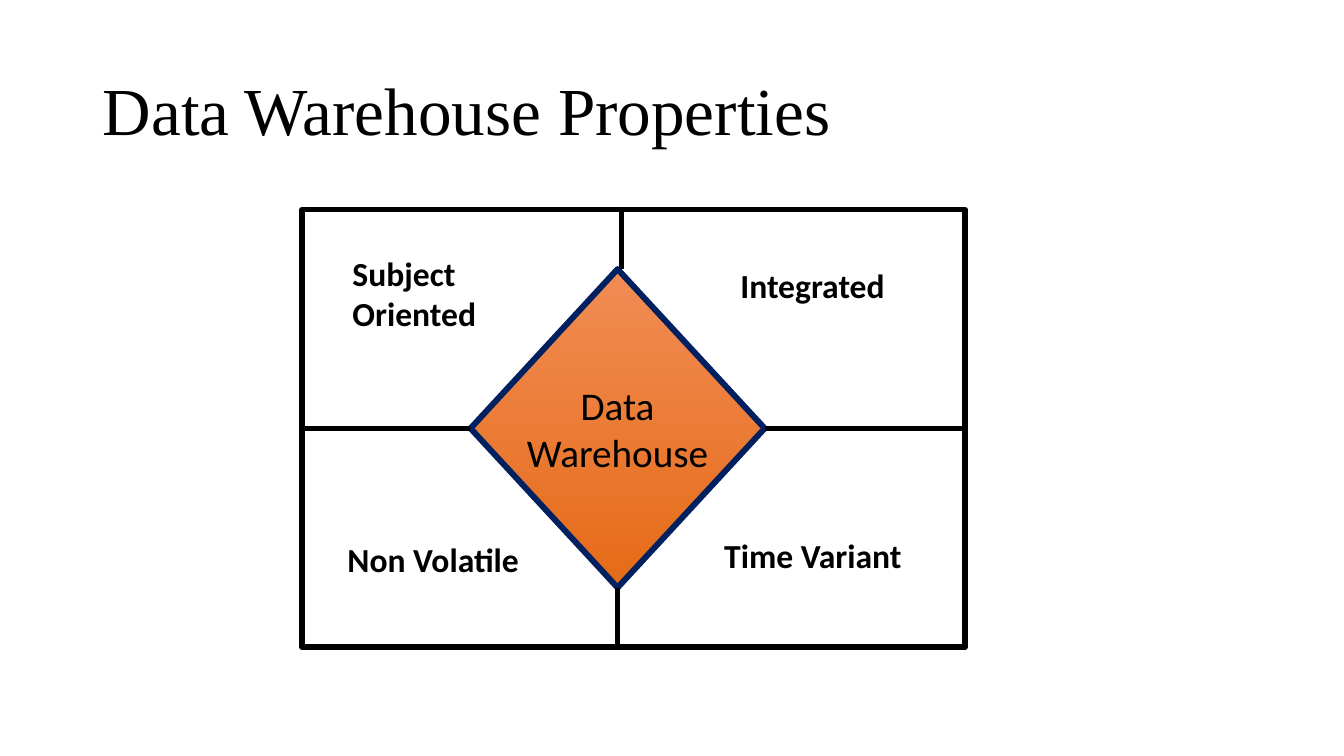
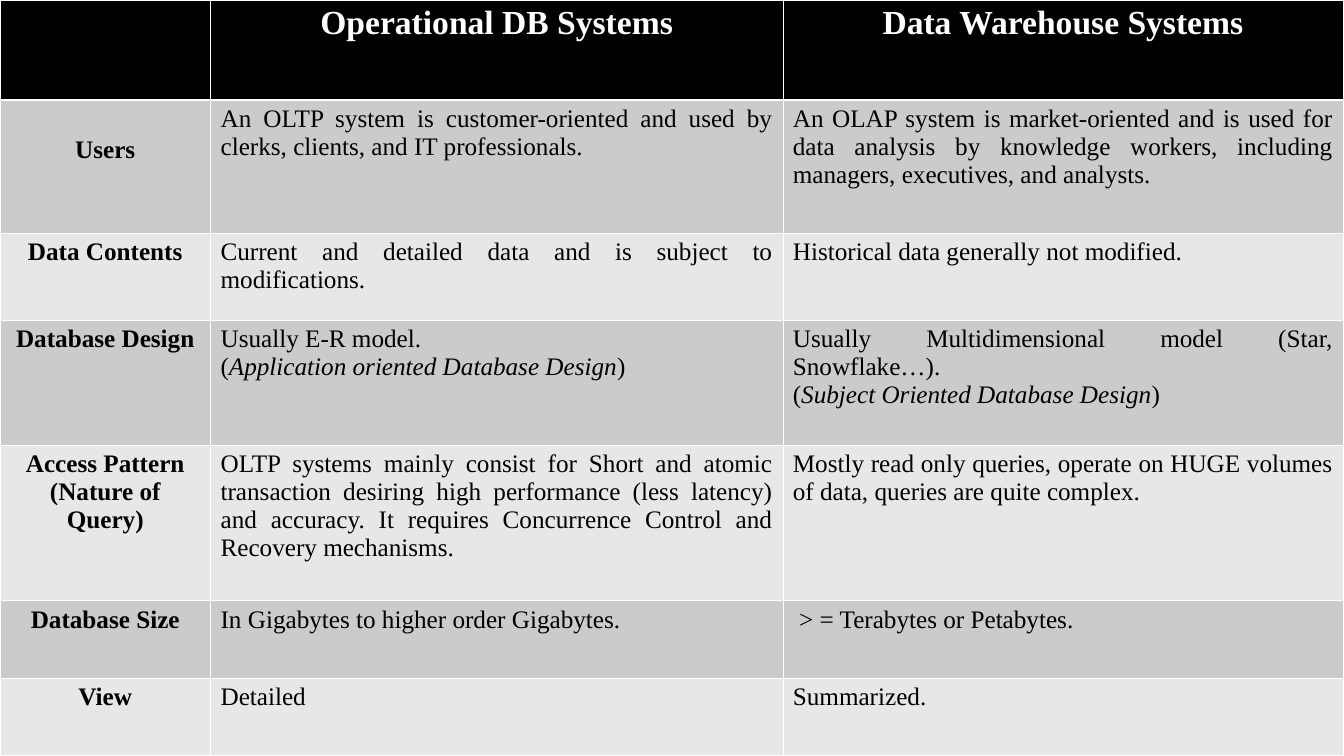
"""Build two slides on data warehouse traits and how they differ from operational systems."""
import lxml.etree
import pptx
import pptx.dml.color
import pptx.enum.shapes
import pptx.enum.text
import pptx.oxml.ns
import pptx.util

Inches = pptx.util.Inches
Pt = pptx.util.Pt
Align = pptx.enum.text.PP_ALIGN
Shape = pptx.enum.shapes.MSO_SHAPE
Anchor = pptx.enum.text.MSO_ANCHOR
qn = pptx.oxml.ns.qn

INK = {
    "black": "000000",
    "white": "FFFFFF",
    "navy": "002060",
    "light": "F18C55",
    "deep": "E56B17",
    "dark": "CBCBCB",
    "pale": "E7E7E7",
}
SERIF = "Times New Roman"
SANS = "Calibri"

TRAITS = [
    (["Integrated"], (4.25, 0.5, 1.65, 0.5)),
    (["Time Variant"], (4.09, 3.18, 1.98, 0.5)),
    (["Non Volatile"], (0.35, 3.22, 1.92, 0.5)),
    (["Subject", "Oriented"], (0.4, 0.38, 1.43, 0.9)),
]

COLS = [2.09, 5.68, 5.56]
ROWS = [
    (0.99, [[], ["Operational DB Systems"], ["Data Warehouse Systems"]]),
    (1.32, [
        ["Users"],
        ["An OLTP system is customer-oriented and used by clerks, clients, and IT professionals."],
        ["An OLAP system is market-oriented and is used for data analysis by knowledge workers, "
         "including managers, executives, and analysts."],
    ]),
    (0.87, [
        ["Data Contents"],
        ["Current and detailed data and is subject to modifications."],
        ["Historical data generally not modified."],
    ]),
    (1.24, [
        ["Database Design"],
        ["Usually E-R model.", "(_Application oriented Database Design_)"],
        ["Usually Multidimensional model (Star, Snowflake…).",
         "(_Subject Oriented Database Design_)"],
    ]),
    (1.54, [
        ["Access Pattern", "(Nature of Query)"],
        ["OLTP systems mainly consist for Short and atomic transaction desiring high performance "
         "(less latency) and accuracy. It requires Concurrence Control and Recovery mechanisms."],
        ["Mostly read only queries, operate on HUGE volumes of data, queries are quite complex."],
    ]),
    (0.77, [
        ["Database Size"],
        ["In Gigabytes to higher order Gigabytes."],
        [" > = Terabytes or Petabytes."],
    ]),
    (0.76, [["View"], ["Detailed"], ["Summarized."]]),
]


def tint(name):
    """Return the named colour."""
    return pptx.dml.color.RGBColor.from_string(INK[name])


def write(frame, lines, size, face, ink="black", bold=False, align=Align.LEFT):
    """Fill a text frame, setting parts between underscores in italics."""
    for i, line in enumerate(lines):
        para = frame.paragraphs[0] if i == 0 else frame.add_paragraph()
        para.alignment = align
        for j, part in enumerate(line.split("_")):
            run = para.add_run()
            run.text = part
            run.font.name = face
            run.font.size = Pt(size)
            run.font.bold = bold
            run.font.italic = j % 2 == 1
            run.font.color.rgb = tint(ink)
    return frame


def stroke(part, ink, width):
    """Set the line of a shape or connector."""
    part.line.color.rgb = tint(ink)
    part.line.width = Pt(width)


def outline(slide, kind, box, ink, width):
    """Add a flat shape with the given outline."""
    shape = slide.shapes.add_shape(kind, *map(Inches, box))
    shape.shadow.inherit = False
    stroke(shape, ink, width)
    return shape


def link(slide, start, end):
    """Add a black line between two points."""
    line = slide.shapes.add_connector(
        pptx.enum.shapes.MSO_CONNECTOR.STRAIGHT, *map(Inches, start + end))
    stroke(line, "black", 4)
    lxml.etree.SubElement(line._element.spPr, qn("a:effectLst"))
    return line


def head(slide, text, box):
    """Place and style the slide title."""
    title = slide.shapes.title
    title.left, title.top, title.width, title.height = map(Inches, box)
    frame = write(title.text_frame, [text], 48, SERIF)
    frame.vertical_anchor = Anchor.MIDDLE
    frame.paragraphs[0].line_spacing = 0.9


def core(slide, box):
    """Draw the central diamond."""
    gem = outline(slide, Shape.FLOWCHART_DECISION, box, "navy", 4.25)
    gem.fill.gradient()
    gem.fill.gradient_angle = 270
    for stop, name, spot in zip(gem.fill.gradient_stops, ("light", "deep"), (0, 1)):
        stop.color.rgb = tint(name)
        stop.position = spot
    frame = write(gem.text_frame, ["Data", "Warehouse"], 28, SANS, align=Align.CENTER)
    frame.word_wrap = False
    frame.vertical_anchor = Anchor.MIDDLE
    return gem


def label(slide, lines, box):
    """Add one bold trait label."""
    frame = slide.shapes.add_textbox(*map(Inches, box)).text_frame
    frame.word_wrap = False
    frame.auto_size = pptx.enum.text.MSO_AUTO_SIZE.SHAPE_TO_FIT_TEXT
    write(frame, lines, 24, SANS, bold=True)


def traits(slide, box):
    """Draw the four-part diagram inside the box."""
    left, top, width, height = box
    right, base, mid = left + width, top + height, top + height / 2
    wide, tall = 2.92, 3.16
    west, north = left + 1.67, mid - tall / 2
    east, south, axis = west + wide, north + tall, west + wide / 2

    frame = outline(slide, Shape.RECTANGLE, box, "black", 4)
    frame.fill.background()
    gem = core(slide, (west, north, wide, tall))

    line = link(slide, (east, mid), (right, mid))
    line.begin_connect(gem, 3)
    line.end_connect(frame, 3)
    line = link(slide, (west, mid), (left, mid))
    line.begin_connect(gem, 1)
    line.end_connect(frame, 1)
    line = link(slide, (axis, south), (axis, base))
    line.begin_connect(gem, 2)
    link(slide, (axis + 0.04, north), (axis + 0.04, top))

    for lines, (x, y, w, h) in TRAITS:
        label(slide, lines, (left + x, top + y, w, h))


def border(cell, row):
    """Give a cell white edges, thicker below the header."""
    thick = {0: "lnB", 1: "lnT"}.get(row)
    props = cell._tc.get_or_add_tcPr()
    for side in ("lnL", "lnR", "lnT", "lnB"):
        width = Pt(1.47 if side == thick else 0.45)
        edge = lxml.etree.SubElement(props, qn("a:" + side), w=str(width))
        fill = lxml.etree.SubElement(edge, qn("a:solidFill"))
        lxml.etree.SubElement(fill, qn("a:srgbClr"), val=INK["white"])


def contrast(slide, box):
    """Add the table of differences inside the box."""
    grid = slide.shapes.add_table(len(ROWS), len(COLS), *map(Inches, box)).table
    for col, width in zip(grid.columns, COLS):
        col.width = Inches(width)
    for r, (height, texts) in enumerate(ROWS):
        grid.rows[r].height = Inches(height)
        top = r == 0
        shade = "black" if top else "dark" if r % 2 else "pale"
        for c, lines in enumerate(texts):
            cell = grid.cell(r, c)
            border(cell, r)
            cell.fill.solid()
            cell.fill.fore_color.rgb = tint(shade)
            key = top or c == 0
            write(cell.text_frame, lines, 24 if top else 18, SERIF,
                  "white" if top else "black", key,
                  Align.CENTER if key else Align.JUSTIFY)
    grid.cell(1, 0).margin_top = Inches(0.36)


def main():
    """Build and save the deck."""
    deck = pptx.Presentation()
    deck.slide_width, deck.slide_height = Inches(13.34), Inches(7.5)
    slide = deck.slides.add_slide(deck.slide_layouts[5])
    head(slide, "Data Warehouse Properties", (0.92, 0.4, 11.5, 1.45))
    traits(slide, (3, 2.08, 6.58, 4.34))
    slide = deck.slides.add_slide(deck.slide_layouts[6])
    contrast(slide, (0, 0, 13.33, 7.5))
    deck.save("out.pptx")


if __name__ == "__main__":
    main()
